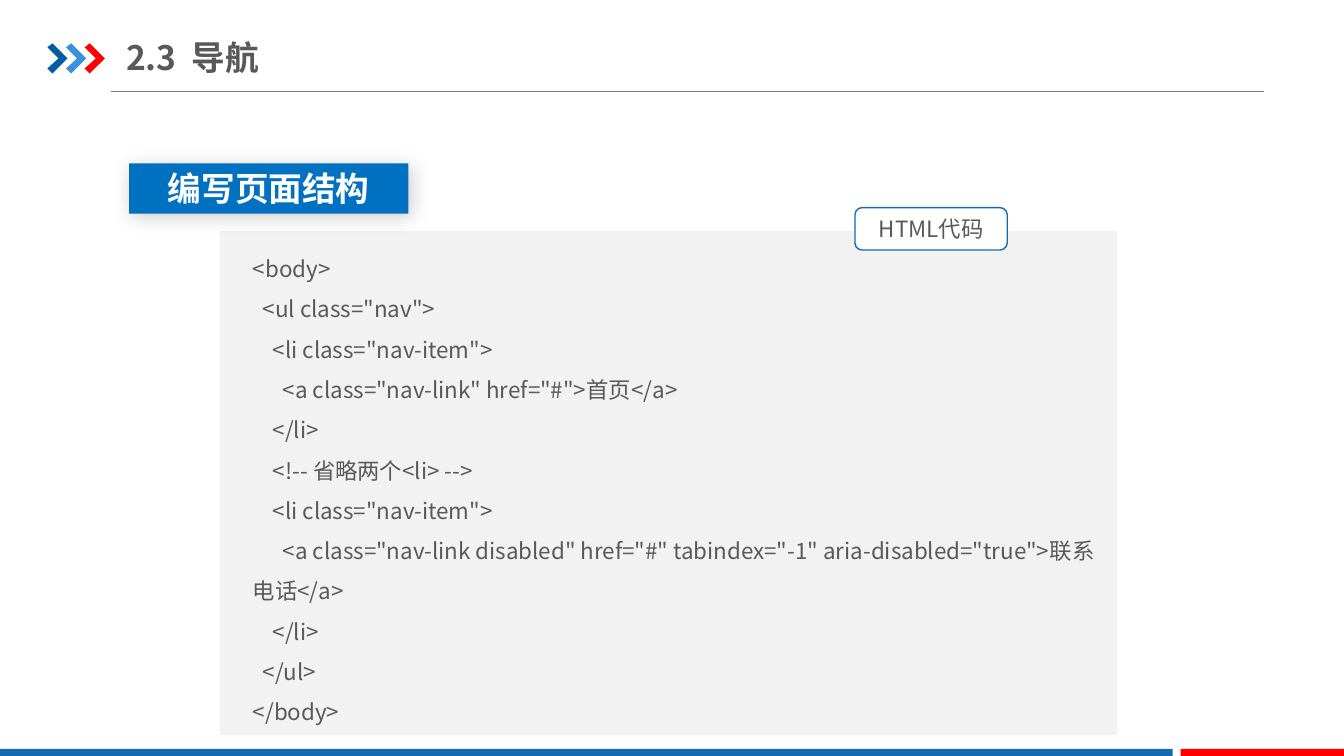
from lxml import etree
from pptx import Presentation
from pptx.dml.color import RGBColor
from pptx.enum.shapes import MSO_CONNECTOR, MSO_SHAPE
from pptx.enum.text import MSO_ANCHOR, PP_ALIGN
from pptx.oxml import parse_xml
from pptx.oxml.ns import nsdecls, qn
from pptx.util import Inches, Pt

RECT, ROUND = MSO_SHAPE.RECTANGLE, MSO_SHAPE.ROUNDED_RECTANGLE
LEFT, CENTER = PP_ALIGN.LEFT, PP_ALIGN.CENTER
TOP, MIDDLE = MSO_ANCHOR.TOP, MSO_ANCHOR.MIDDLE

WHITE = RGBColor(0xFF, 0xFF, 0xFF)
TEXT = RGBColor(0x59, 0x59, 0x59)
RULE = RGBColor(0x80, 0x80, 0x80)
PANEL = RGBColor(0xF2, 0xF2, 0xF2)
BLUE = RGBColor(0x13, 0x69, 0xB2)
HEADING_BLUE = RGBColor(0x00, 0x70, 0xC0)
DARK_BLUE = RGBColor(0x00, 0x5D, 0xA2)
LIGHT_BLUE = RGBColor(0x39, 0x92, 0xDB)
RED = RGBColor(0xFF, 0x00, 0x00)
SANS = "Noto Sans CJK SC"

# Content
TITLE = "2.3  导航"
HEADING = "编写页面结构"
LABEL = "HTML代码"
CODE = """<body>
  <ul class="nav">
    <li class="nav-item">
      <a class="nav-link" href="#">首页</a>
    </li>
    <!-- 省略两个<li> -->
    <li class="nav-item">
      <a class="nav-link disabled" href="#" tabindex="-1" aria-disabled="true">联系电话</a>
    </li>
  </ul>
</body>"""
CHEVRON_COLORS = [DARK_BLUE, LIGHT_BLUE, RED]
CHEVRON = [(0, 0.04), (0.05, 0), (0.2, 0.15), (0.05, 0.3), (0, 0.25), (0.11, 0.15)]
FOOTER_BARS = [(0, 11.63, BLUE), (11.71, 1.62, RED)]


def write(shape, text, size, color, font=SANS, bold=False, align=LEFT,
          anchor=TOP, spacing=1.0):
    tf = shape.text_frame
    tf.word_wrap = True
    tf.vertical_anchor = anchor
    tf.text = text
    for p in tf.paragraphs:
        p.alignment = align
        p.line_spacing = spacing
        for r in p.runs:
            r.font.size, r.font.bold, r.font.name = Pt(size), bold, font
            r.font.color.rgb = color
            ea = etree.SubElement(r.font._element, qn("a:ea"))
            ea.set("typeface", SANS)


def paint(shape, fill):
    shape.shadow.inherit = False
    shape.fill.solid()
    shape.fill.fore_color.rgb = fill
    shape.line.fill.background()


def box(kind, left, top, width, height, fill):
    shape = s.shapes.add_shape(kind, Inches(left), Inches(top), Inches(width), Inches(height))
    paint(shape, fill)
    return shape


prs = Presentation()
prs.slide_width, prs.slide_height = Inches(13.33), Inches(7.5)
s = prs.slides.add_slide(prs.slide_layouts[5])

# Title and rule
title = s.shapes.title
title.left, title.top = Inches(1.25), Inches(0.29)
title.width, title.height = Inches(4.86), Inches(0.55)
write(title, TITLE, 24, TEXT, bold=True, anchor=MIDDLE)
tf = title.text_frame
tf.margin_left = tf.margin_right = 0
tf.margin_top = tf.margin_bottom = Inches(0.07)

rule = s.shapes.add_connector(MSO_CONNECTOR.STRAIGHT, Inches(1.1), Inches(0.91),
                              Inches(12.54), Inches(0.91))
rule.line.color.rgb = RULE
rule.line.width = Pt(0.75)
etree.SubElement(rule._element.spPr, qn("a:effectLst"))

# Three chevrons beside the title
for i, color in enumerate(CHEVRON_COLORS):
    left, top = 0.47 + 0.185 * i, 0.43
    points = [(Inches(left + x), Inches(top + y)) for x, y in CHEVRON]
    fb = s.shapes.build_freeform(*points[0])
    fb.add_line_segments(points[1:], close=True)
    paint(fb.convert_to_shape(), color)

# Footer bars
for left, width, color in FOOTER_BARS:
    box(RECT, left, 7.43, width, 0.09, color)

# Code panel with its label
box(RECT, 2.18, 2.29, 8.9, 5, PANEL)
label = box(ROUND, 8.48, 2.06, 1.51, 0.42, WHITE)
label.line.color.rgb = BLUE
label.line.width = Pt(1)
write(label, LABEL, 16, TEXT, align=CENTER)
code = s.shapes.add_textbox(Inches(2.41), Inches(2.35), Inches(8.66), Inches(4.95))
write(code, CODE, 16, TEXT, spacing=1.5)

# Section heading with a soft shadow
heading = box(RECT, 1.28, 1.62, 2.77, 0.5, HEADING_BLUE)
write(heading, HEADING, 24, WHITE, font="Arial", bold=True, align=CENTER, anchor=MIDDLE)
effects = heading._element.spPr.find(qn("a:effectLst"))
effects.append(parse_xml(
    f'<a:outerShdw {nsdecls("a")} blurRad="{Pt(15)}" dist="{Pt(3)}" dir="2700000" '
    'algn="tl" rotWithShape="0"><a:srgbClr val="000000"><a:alpha val="20000"/>'
    '</a:srgbClr></a:outerShdw>'))

prs.save("out.pptx")
